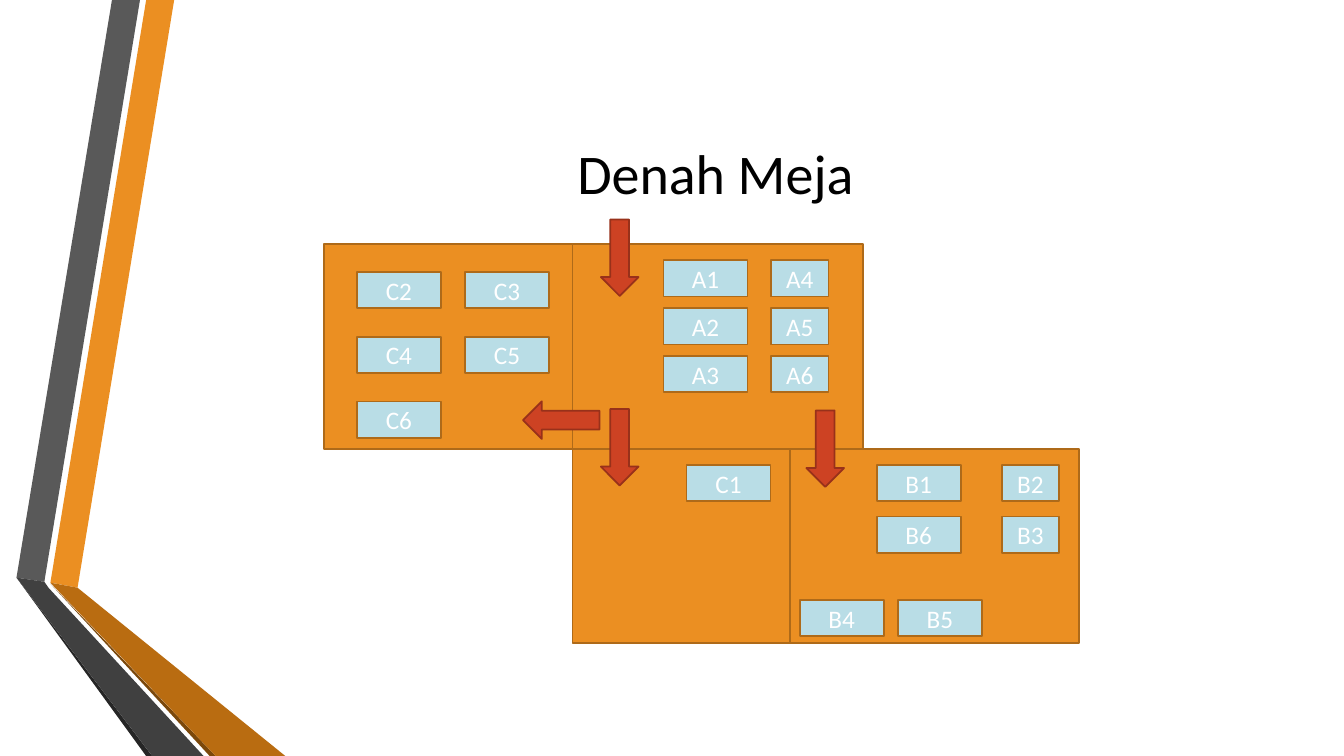
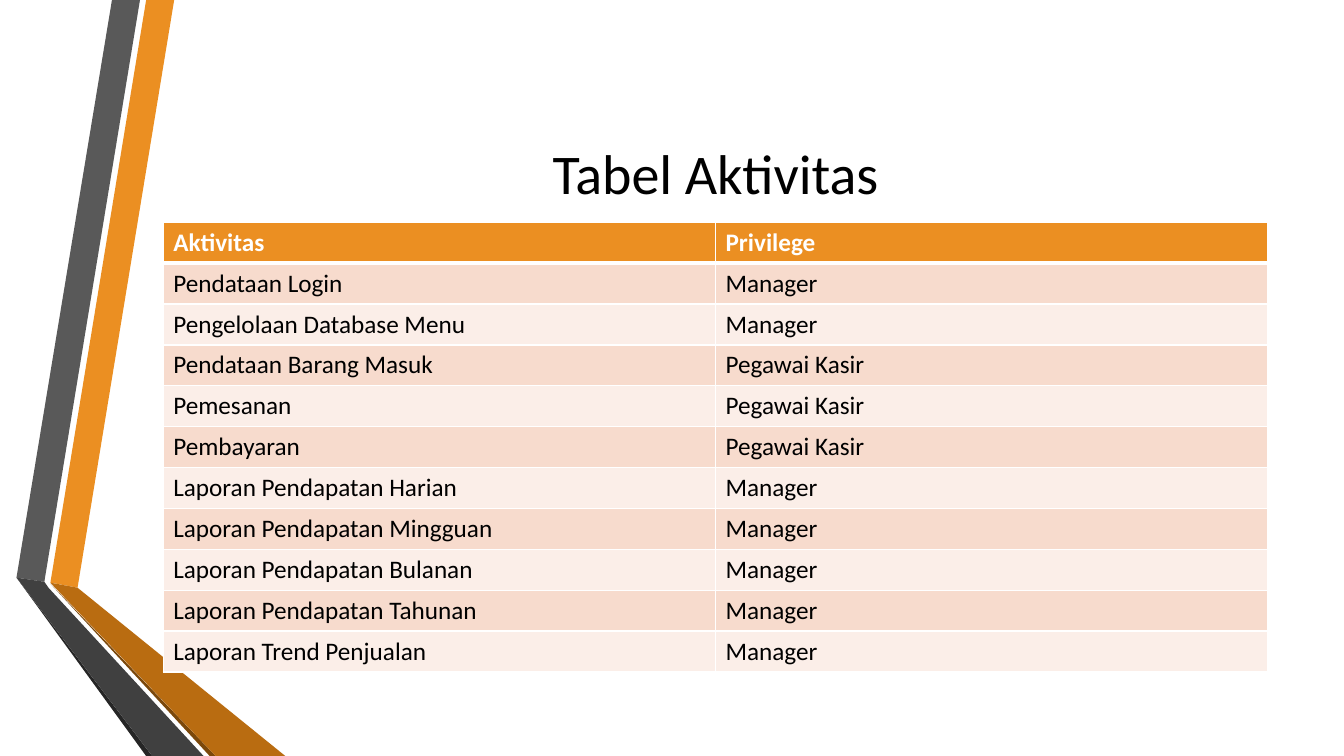
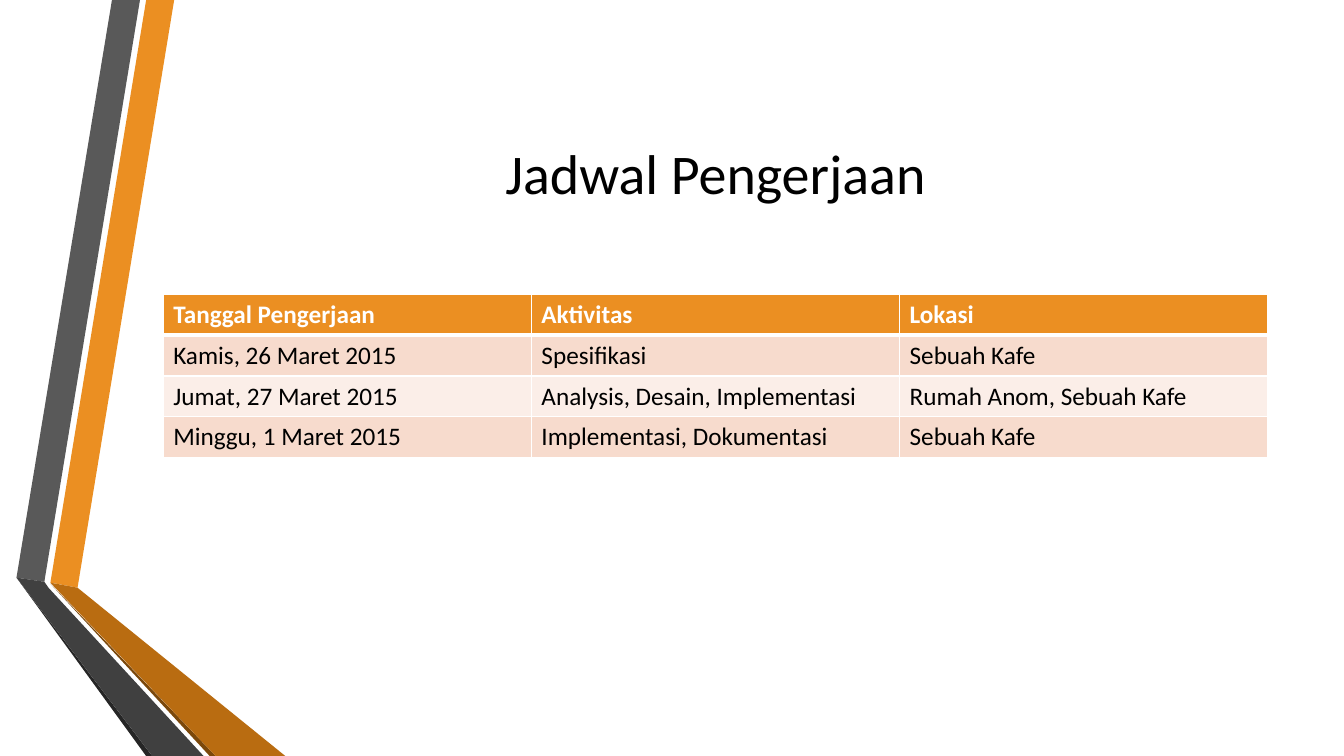
from lxml.etree import SubElement
from pptx import Presentation
from pptx.dml.color import RGBColor
from pptx.enum.shapes import MSO_SHAPE as Preset
from pptx.enum.text import MSO_ANCHOR as Anchor, MSO_AUTO_SIZE as AutoSize, PP_ALIGN as Align
from pptx.oxml.ns import qn
from pptx.util import Pt

FONT = "Calibri"
BLACK, WHITE = "000000", "FFFFFF"
ORANGE, ORANGE_EDGE = "EB8F22", "AE6A19"
DESK_BLUE = "B9DDE6"
RED, RED_EDGE = "CD4223", "98311A"
ROW_TINTS = ("F7DBCD", "FBEEE8")

CONTENT_LEFT, CONTENT_WIDTH = 116.6, 789
TITLE_TOP, TITLE_HEIGHT = 54, 138
ROW_HEIGHT = 29.2

RIBBONS = [
    (ORANGE, [(36, 416.2), (55.4, 419.8), (124.4, 0), (104.4, 0)]),
    ("595959", [(100, 0), (80, 0), (11.8, 412.6), (31.7, 415.6)]),
    ("262626", [(11.8, 412.6), (104.4, 540), (108.7, 540)]),
    ("7B480B", [(36, 416.9), (149.8, 540), (154.1, 540)]),
    ("B96C11", [(36, 416.2), (154.1, 540), (203.8, 540), (55.4, 419.8)]),
    ("404040", [(11.8, 412.6), (108.7, 540), (145.4, 540), (34.6, 419.8), (31.7, 415.6)]),
]

ROOM_ROWS = [
    (174.2, 320.5, (231.2, 409, 616.4)),
    (320.5, 459.2, (409, 564.5, 770.9)),
]
DESK_HEIGHT = 26
DESK_GROUPS = [
    ((473.9, 550.8), (60, 41), 185.9, 34.2, [("A1", "A4"), ("A2", "A5"), ("A3", "A6")]),
    ((254.9, 332.1), (60, 60), 194.3, 46.2, [("C2", "C3"), ("C4", "C5"), ("C6",)]),
    ((490.4,), (60,), 332, 0, [("C1",)]),
    ((626.2, 715.7), (60, 40.5), 332, 36.9, [("B1", "B2"), ("B6", "B3")]),
    ((571.2, 641.4), (60, 60), 428.5, 0, [("B4", "B5")]),
]
ARROW_WIDTH, ARROW_LENGTH = 26.9, 54.6
ARROWS = [(429.2, 156.8, 0), (429.2, 292.2, 0), (576, 293.2, 0), (387.4, 272.8, 90)]

ACTIVITIES = [
    ("Aktivitas", "Privilege"),
    ("Pendataan Login", "Manager"),
    ("Pengelolaan Database Menu", "Manager"),
    ("Pendataan Barang Masuk", "Pegawai Kasir"),
    ("Pemesanan", "Pegawai Kasir"),
    ("Pembayaran", "Pegawai Kasir"),
    ("Laporan Pendapatan Harian", "Manager"),
    ("Laporan Pendapatan Mingguan", "Manager"),
    ("Laporan Pendapatan Bulanan", "Manager"),
    ("Laporan Pendapatan Tahunan", "Manager"),
    ("Laporan Trend Penjualan", "Manager"),
]
SCHEDULE = [
    ("Tanggal Pengerjaan", "Aktivitas", "Lokasi"),
    ("Kamis, 26 Maret 2015", "Spesifikasi", "Sebuah Kafe"),
    ("Jumat, 27 Maret 2015", "Analysis, Desain, Implementasi", "Rumah Anom, Sebuah Kafe"),
    ("Minggu, 1 Maret 2015", "Implementasi, Dokumentasi", "Sebuah Kafe"),
]


def paint(target, color):
    target.solid()
    target.fore_color.rgb = RGBColor.from_string(color)


def write(frame, text, size, color, align=Align.LEFT, bold=False):
    frame.text = text
    paragraph = frame.paragraphs[0]
    paragraph.alignment = align
    font = paragraph.runs[0].font
    font.name, font.size, font.bold = FONT, Pt(size), bold
    font.color.rgb = RGBColor.from_string(color)


def add_ribbons(layout, slide):
    layout_tree = layout.placeholders[0].element.getparent()
    for position, (color, corners) in enumerate(RIBBONS):
        start, *others = [(Pt(x), Pt(y)) for x, y in corners]
        builder = slide.shapes.build_freeform(*start, scale=1.0)
        builder.add_line_segments(others, close=True)
        ribbon = builder.convert_to_shape()
        ribbon.shadow.inherit = False
        paint(ribbon.fill, color)
        ribbon.line.fill.background()
        layout_tree.insert(2 + position, ribbon.element)


def add_titled_slide(deck, layout, heading):
    slide = deck.slides.add_slide(layout)
    title = slide.shapes.title
    title.left, title.top = Pt(CONTENT_LEFT), Pt(TITLE_TOP)
    title.width, title.height = Pt(CONTENT_WIDTH), Pt(TITLE_HEIGHT)
    write(title.text_frame, heading, 40, BLACK, Align.CENTER)
    title.text_frame.auto_size = AutoSize.NONE
    title.text_frame.vertical_anchor = Anchor.MIDDLE
    return slide


def add_block(slide, preset, left, top, width, height, fill, edge):
    block = slide.shapes.add_shape(preset, Pt(left), Pt(top), Pt(width), Pt(height))
    block.shadow.inherit = False
    paint(block.fill, fill)
    paint(block.line.fill, edge)
    block.line.width = Pt(1.25)
    return block


def add_floor_plan(slide):
    for top, bottom, walls in ROOM_ROWS:
        for left, right in zip(walls, walls[1:]):
            add_block(slide, Preset.RECTANGLE, left, top, right - left, bottom - top,
                      ORANGE, ORANGE_EDGE)
    for lefts, widths, first_top, step, rows in DESK_GROUPS:
        for row, labels in enumerate(rows):
            for left, width, label in zip(lefts, widths, labels):
                desk = add_block(slide, Preset.RECTANGLE, left, first_top + row * step,
                                 width, DESK_HEIGHT, DESK_BLUE, ORANGE_EDGE)
                write(desk.text_frame, label, 18, WHITE, Align.CENTER)
                desk.text_frame.vertical_anchor = Anchor.MIDDLE
    for left, top, angle in ARROWS:
        arrow = add_block(slide, Preset.DOWN_ARROW, left, top, ARROW_WIDTH, ARROW_LENGTH,
                          RED, RED_EDGE)
        arrow.rotation = angle


def add_borders(cell, top, bottom):
    properties = cell._tc.get_or_add_tcPr()
    sides = (("a:lnL", 1), ("a:lnR", 1), ("a:lnT", top), ("a:lnB", bottom))
    for position, (side, width) in enumerate(sides):
        border = SubElement(properties, qn(side), w=str(Pt(width)))
        SubElement(SubElement(border, qn("a:solidFill")), qn("a:srgbClr"), val=WHITE)
        properties.insert(position, border)


def add_grid(slide, top, rows):
    columns = len(rows[0])
    table = slide.shapes.add_table(len(rows), columns, Pt(CONTENT_LEFT), Pt(top),
                                   Pt(CONTENT_WIDTH), Pt(ROW_HEIGHT * len(rows))).table
    for column in table.columns:
        column.width = Pt(CONTENT_WIDTH / columns)
    for index, entries in enumerate(rows):
        header = index == 0
        table.rows[index].height = Pt(ROW_HEIGHT)
        for column, entry in enumerate(entries):
            cell = table.cell(index, column)
            write(cell.text_frame, entry, 18, WHITE if header else BLACK, bold=header)
            paint(cell.fill, ORANGE if header else ROW_TINTS[(index - 1) % 2])
            add_borders(cell, 3 if index == 1 else 1, 3 if header else 1)


def main():
    deck = Presentation()
    deck.slide_width, deck.slide_height = Pt(960), Pt(540)
    layout = deck.slide_layouts[5]

    plan = add_titled_slide(deck, layout, "Denah Meja")
    add_ribbons(layout, plan)
    add_floor_plan(plan)
    add_grid(add_titled_slide(deck, layout, "Tabel Aktivitas"), 158.8, ACTIVITIES)
    add_grid(add_titled_slide(deck, layout, "Jadwal Pengerjaan"), 210.2, SCHEDULE)
    deck.save("out.pptx")


if __name__ == "__main__":
    main()
